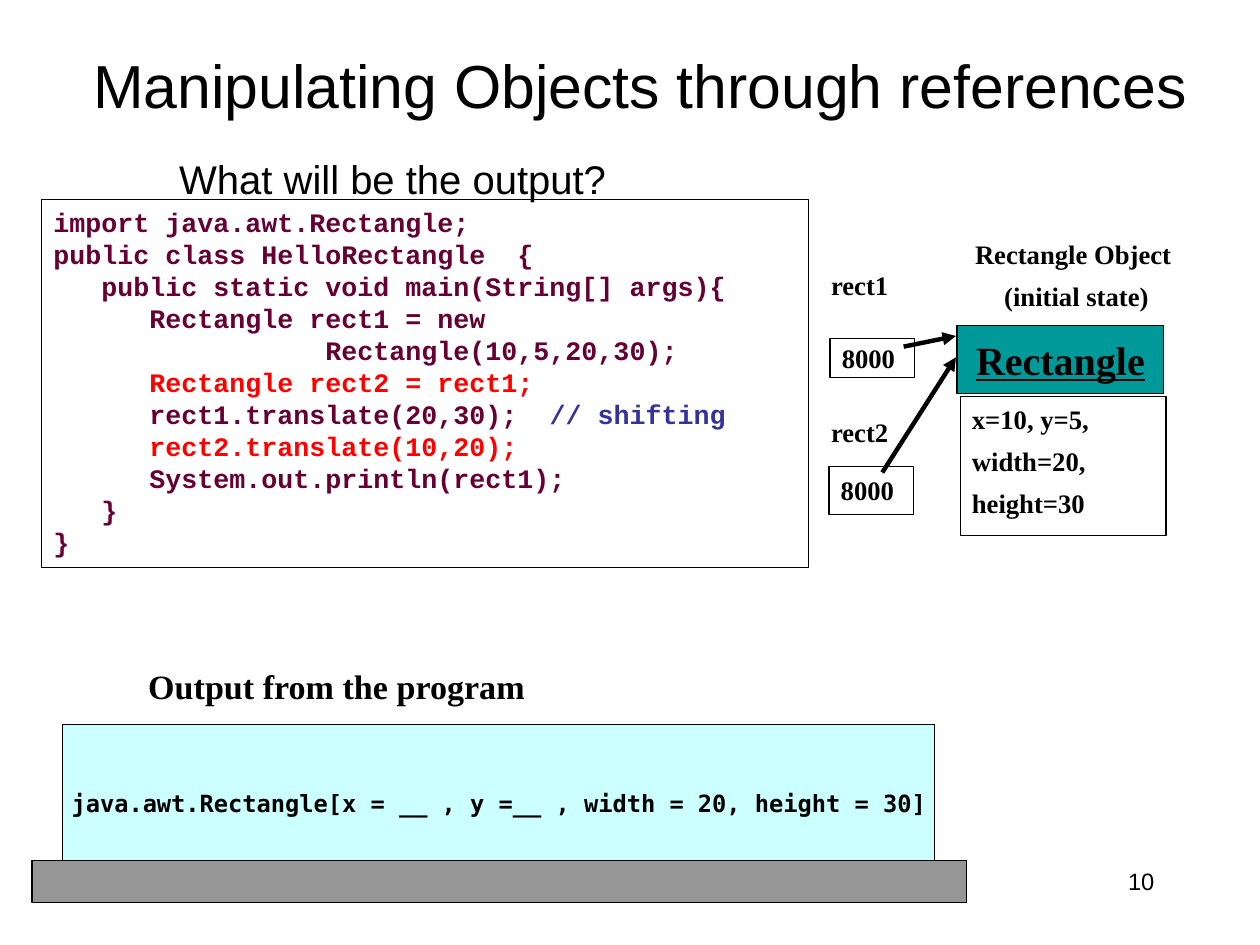
from dataclasses import dataclass
from typing import Optional, Union

from lxml.etree import SubElement
from pptx import Presentation
from pptx.dml.color import RGBColor
from pptx.enum.shapes import MSO_CONNECTOR as Connector, MSO_SHAPE as Preset
from pptx.enum.text import MSO_ANCHOR as Anchor, MSO_AUTO_SIZE as AutoSize, PP_ALIGN as Align
from pptx.oxml.ns import qn
from pptx.util import Emu, Pt

PX = 9144
CODE_INDENT = 15
COLORS = {
    "black": "000000",
    "white": "FFFFFF",
    "code": "660033",
    "highlight": "FF0000",
    "comment": "333399",
    "output": "CCFFFF",
    "base": "969696",
    "header": "009999",
}
TITLE_FONT = {"name": "Arial", "size": Pt(41)}
QUESTION_FONT = {"name": "Arial", "size": Pt(27)}
NUMBER_FONT = {"name": "Arial", "size": Pt(16)}
CODE_FONT = {"name": "Courier New", "size": Pt(18), "bold": True}
OUTPUT_FONT = {"name": "DejaVu Sans Mono", "size": Pt(16), "bold": True}
LABEL_FONT = {"name": "Times New Roman", "size": Pt(18), "bold": True}
CAPTION_FONT = {**LABEL_FONT, "size": Pt(23)}
HEADER_FONT = {**LABEL_FONT, "size": Pt(27), "underline": True}


@dataclass
class Line:
    runs: tuple[tuple[str, str], ...]
    indent: int = 0


@dataclass
class Box:
    left: int
    top: int
    width: int
    height: int
    lines: tuple[Line, ...] = ()
    font: Optional[dict] = None
    fill: Optional[str] = None
    outlined: bool = False
    align: Align = Align.LEFT
    anchor: Anchor = Anchor.TOP
    wrap: bool = True
    space_before: float = 0


@dataclass
class Arrow:
    start: tuple[int, int]
    end: tuple[int, int]


def px(value: int) -> Emu:
    return Emu(value * PX)


def rgb(name: str) -> RGBColor:
    return RGBColor.from_string(COLORS[name])


def plain(*texts: str) -> tuple[Line, ...]:
    return tuple(Line(((text, "black"),)) for text in texts)


def code(characters: int, text: str, color: str = "code", comment: str = "") -> Line:
    runs = ((text, color), (comment, "comment")) if comment else ((text, color),)
    return Line(runs, characters * CODE_INDENT)


def set_values(target, values: dict) -> None:
    for name, value in values.items():
        setattr(target, name, value)


def write_text(shape, box: Box) -> None:
    frame = shape.text_frame
    set_values(frame, {
        "auto_size": AutoSize.NONE, "word_wrap": box.wrap, "vertical_anchor": box.anchor,
        "margin_left": px(11), "margin_right": px(11),
        "margin_top": px(6), "margin_bottom": px(6),
    })
    for index, line in enumerate(box.lines):
        paragraph = frame.add_paragraph() if index else frame.paragraphs[0]
        set_values(paragraph, {"alignment": box.align, "space_before": Pt(box.space_before)})
        if line.indent:
            paragraph._p.get_or_add_pPr().set("marL", str(px(line.indent)))
        for text, color in line.runs:
            run = paragraph.add_run()
            run.text = text
            set_values(run.font, box.font)
            run.font.color.rgb = rgb(color)


def draw_box(slide, box: Box) -> None:
    place = [px(value) for value in (box.left, box.top, box.width, box.height)]
    if box.fill or box.outlined:
        shape = slide.shapes.add_shape(Preset.RECTANGLE, *place)
        shape.shadow.inherit = False
    else:
        shape = slide.shapes.add_textbox(*place)
    if box.fill:
        shape.fill.solid()
        shape.fill.fore_color.rgb = rgb(box.fill)
    else:
        shape.fill.background()
    if box.outlined:
        shape.line.color.rgb = rgb("black")
        shape.line.width = Pt(0.75)
    else:
        shape.line.fill.background()
    if box.lines:
        write_text(shape, box)


def draw_arrow(slide, arrow: Arrow) -> None:
    points = [px(value) for value in (*arrow.start, *arrow.end)]
    connector = slide.shapes.add_connector(Connector.STRAIGHT, *points)
    connector.line.color.rgb = rgb("black")
    connector.line.width = Pt(3)
    SubElement(connector.line._get_or_add_ln(), qn("a:tailEnd"), type="triangle")
    SubElement(connector._element.spPr, qn("a:effectLst"))


def label(left: int, top: int, width: int, height: int, *texts: str,
          align: Align = Align.LEFT, outlined: bool = False) -> Box:
    return Box(left, top, width, height, plain(*texts), LABEL_FONT, "white",
               outlined, align, space_before=6.8)


def address(left: int, top: int, height: int) -> Box:
    return Box(left, top, 79, height, plain("8000"), LABEL_FONT, "white",
               True, anchor=Anchor.MIDDLE)


TITLE = Box(49, 49, 1103, 59, plain("Manipulating Objects through references"),
            TITLE_FONT, align=Align.CENTER, anchor=Anchor.MIDDLE)
PROGRAM = (
    code(0, "import java.awt.Rectangle;"),
    code(0, "public class HelloRectangle  {"),
    code(3, "public static void main(String[] args){"),
    code(6, "Rectangle rect1 = new"),
    code(17, "Rectangle(10,5,20,30);"),
    code(6, "Rectangle rect2 = rect1;", "highlight"),
    code(6, "rect1.translate(20,30);  ", comment="// shifting"),
    code(6, "rect2.translate(10,20);", "highlight"),
    code(6, "System.out.println(rect1);"),
    code(3, "}"),
    code(0, "}"),
)
ITEMS: tuple[Union[Box, Arrow], ...] = (
    Box(39, 187, 719, 345, PROGRAM, CODE_FONT, outlined=True),
    Box(59, 679, 817, 148,
        plain("java.awt.Rectangle[x = __ , y =__ , width = 20, height = 30]"),
        OUTPUT_FONT, "output", True, Align.CENTER, Anchor.MIDDLE, wrap=False),
    Box(30, 807, 876, 39, fill="base", outlined=True),
    Box(128, 618, 640, 51, plain("Output from the program"), CAPTION_FONT),
    address(778, 317, 37),
    label(900, 372, 193, 130, "x=10, y=5,", "width=20,", "height=30", outlined=True),
    label(768, 246, 116, 39, "rect1"),
    label(886, 217, 246, 79, "Rectangle Object ", "(initial state)", align=Align.CENTER),
    Arrow((847, 325), (896, 315)),
    Box(897, 305, 194, 64, plain("Rectangle"), HEADER_FONT, "header", True,
        Align.CENTER, Anchor.MIDDLE, wrap=False),
    address(777, 437, 45),
    label(768, 384, 89, 39, "rect2"),
    Arrow((827, 443), (896, 335)),
    Box(157, 139, 482, 59, plain("What will be the output?"), QUESTION_FONT),
    Box(847, 807, 246, 59, plain("10"), NUMBER_FONT, align=Align.RIGHT),
)


def main() -> None:
    presentation = Presentation()
    set_values(presentation, {"slide_width": px(1181), "slide_height": px(886)})
    slide = presentation.slides.add_slide(presentation.slide_layouts[5])
    title = slide.shapes.title
    set_values(title, {name: px(getattr(TITLE, name))
                       for name in ("left", "top", "width", "height")})
    write_text(title, TITLE)
    for item in ITEMS:
        if isinstance(item, Arrow):
            draw_arrow(slide, item)
        else:
            draw_box(slide, item)
    presentation.save("out.pptx")


if __name__ == "__main__":
    main()
